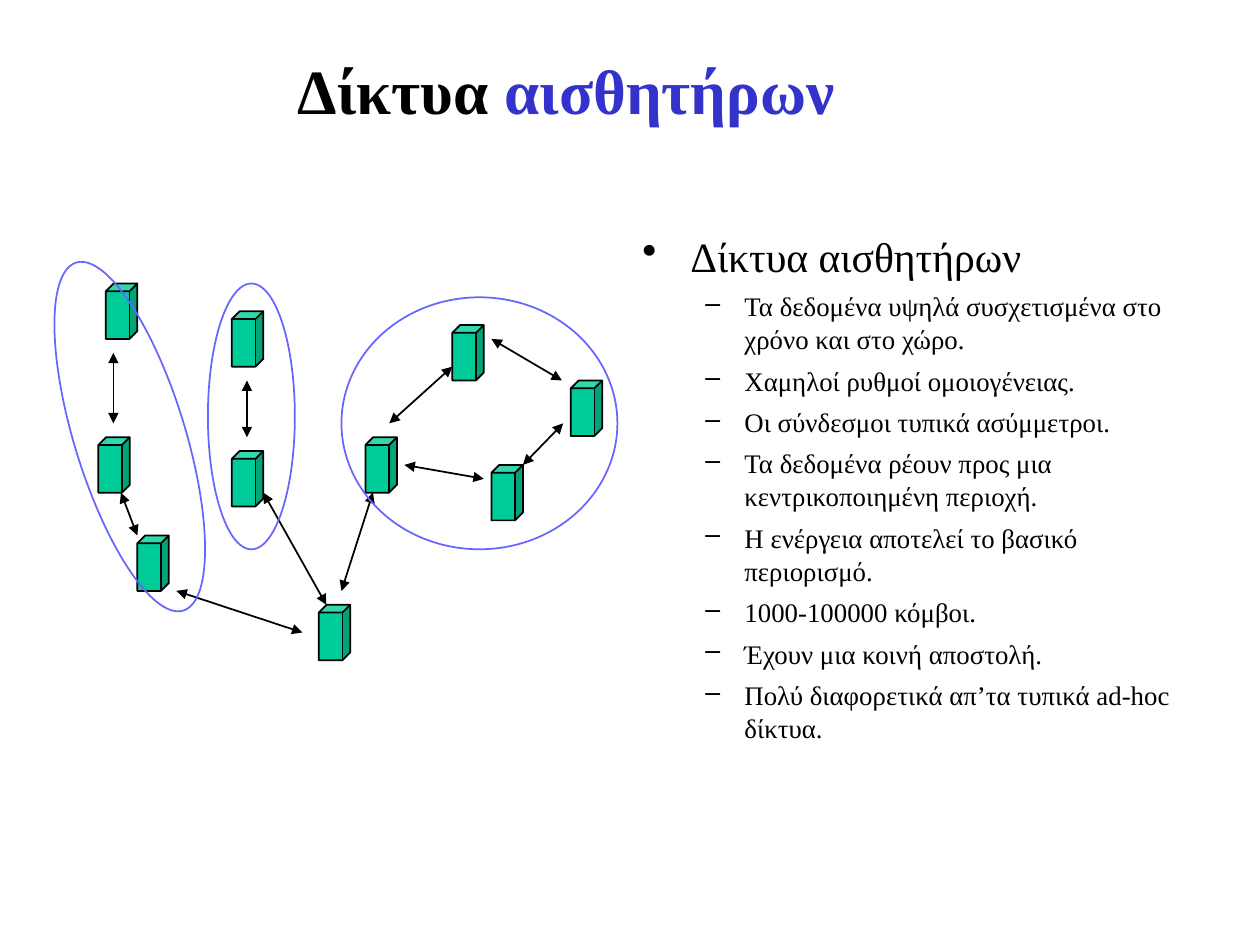
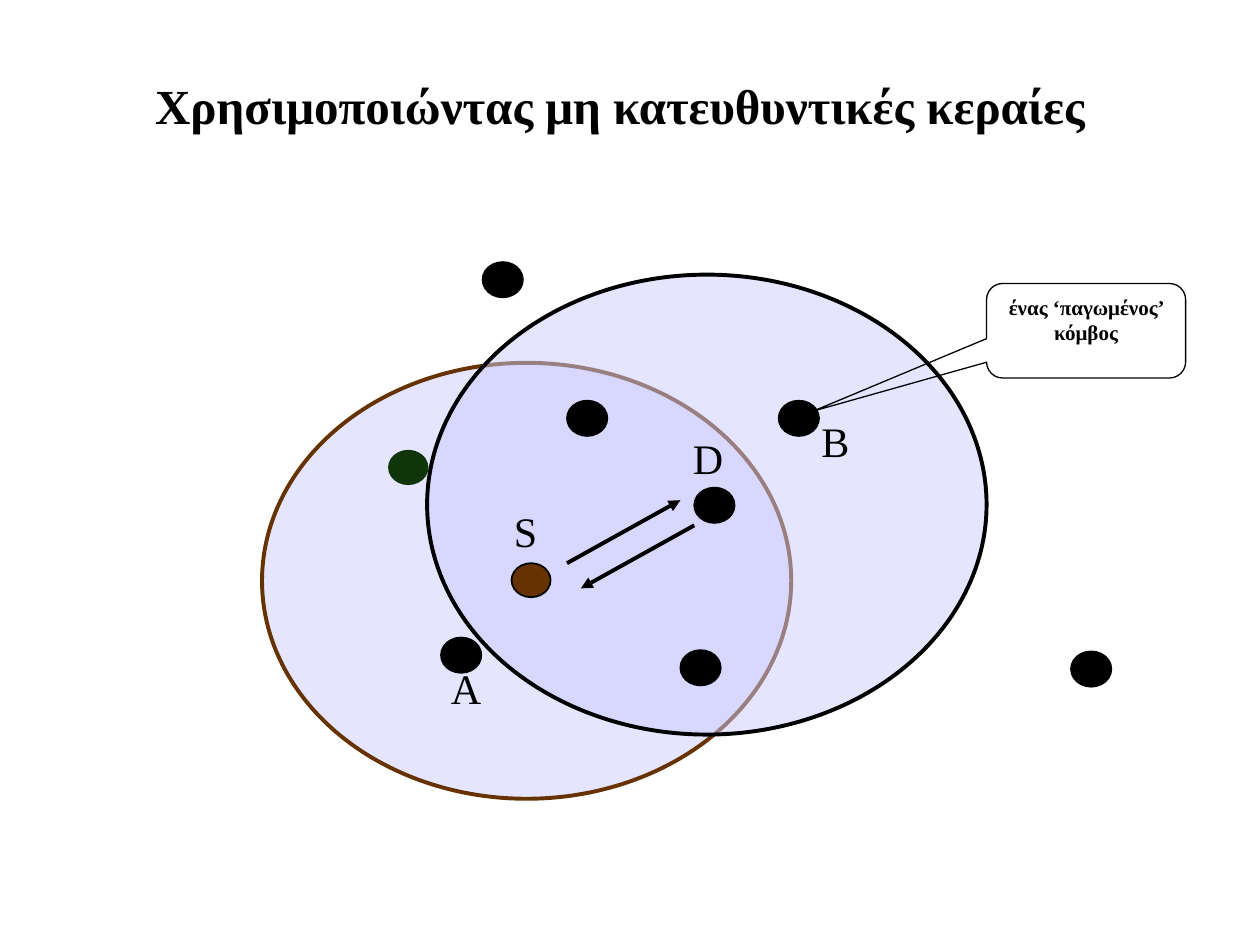
import pptx
import pptx.dml.color
import pptx.enum.shapes
import pptx.enum.text
import pptx.oxml.ns
import pptx.oxml.xmlchemy
import pptx.util
from lxml import etree

Inches = pptx.util.Inches
Pt = pptx.util.Pt
SHAPES = pptx.enum.shapes.MSO_SHAPE
ALIGN = pptx.enum.text.PP_ALIGN
ANCHOR = pptx.enum.text.MSO_ANCHOR

FONT = "Times New Roman"
BLACK = "000000"
TITLE_BLUE = "3333CC"
NODE_GREEN = "00CC99"
CLUSTER_BLUE = "6666FF"
RANGE_LILAC = "CCCCFF"
SOURCE_BROWN = "663300"
DARK_GREEN = "11350B"

SENSOR_POINTS = [
    "Τα δεδομένα υψηλά συσχετισμένα στο χρόνο και στο χώρο.",
    "Χαμηλοί ρυθμοί ομοιογένειας.",
    "Οι σύνδεσμοι τυπικά ασύμμετροι.",
    "Τα δεδομένα ρέουν προς μια κεντρικοποιημένη περιοχή.",
    "Η ενέργεια αποτελεί το βασικό περιορισμό.",
    "1000-100000 κόμβοι.",
    "Έχουν μια κοινή αποστολή.",
    "Πολύ διαφορετικά απ’τα τυπικά ad-hoc δίκτυα.",
]
SENSORS = [
    (0.78, 3.47), (0.84, 2.25), (2.53, 4.8), (3.9, 3.69), (1.84, 3.58),
    (3.59, 2.58), (4.53, 3.02), (1.84, 2.47), (2.9, 3.47), (1.09, 4.25),
]
SENSOR_LINKS = [
    ((0.9, 2.8), (0.9, 3.36)), ((0.96, 3.91), (1.09, 4.25)),
    ((1.4, 4.69), (2.4, 5.02)), ((2.71, 4.69), (2.96, 3.91)),
    ((3.09, 3.36), (3.59, 2.91)), ((3.9, 2.69), (4.46, 3.02)),
    ((3.21, 3.69), (3.84, 3.8)), ((4.15, 3.69), (4.47, 3.36)),
    ((1.96, 3.02), (1.96, 3.47)), ((2.09, 3.91), (2.59, 4.8)),
]
CLUSTERS = [
    ((0.59, 2.02, 0.88, 2.89), 342.9),
    ((1.65, 2.25, 0.69, 2.11), 0),
    ((2.71, 2.36, 2.19, 2), 0),
]
RANGES = [
    ((2.08, 2.88, 4.2, 3.46), SOURCE_BROWN),
    ((3.39, 2.18, 4.44, 3.65), BLACK),
]
BLACK_NODES = [
    (5.51, 3.87), (8.5, 5.17), (3.83, 2.08), (3.5, 5.06),
    (4.5, 3.18), (5.4, 5.16), (6.18, 3.18),
]
MESSAGES = [((4.5, 4.47), (5.4, 3.97)), ((5.51, 4.17), (4.61, 4.67))]
NODE_LABELS = [
    ("S", (3.98, 3.96, 0.38, 0.5)), ("D", (5.4, 3.38, 0.44, 0.5)),
    ("A", (3.48, 5.21, 0.44, 0.5)), ("B", (6.42, 3.25, 0.42, 0.5)),
]


def colour(value):
    """Turn a hex string into a colour."""
    return pptx.dml.color.RGBColor.from_string(value)


def set_values(target, values):
    """Set each named attribute of an object."""
    for name, value in values.items():
        setattr(target, name, value)


def add_element(parent, tag, **attributes):
    """Append a drawing element to an XML parent."""
    return etree.SubElement(parent, pptx.oxml.ns.qn(tag), attributes)


def write(para, text, size, bold=False, hue=BLACK):
    """Add one formatted span to a paragraph."""
    span = para.add_run()
    span.text = text
    set_values(span.font, {"name": FONT, "size": Pt(size), "bold": bold})
    span.font.color.rgb = colour(hue)


def add_box(page, place, **frame_values):
    """Add a text box and return its text frame."""
    frame = page.shapes.add_textbox(*map(Inches, place)).text_frame
    set_values(frame, {"word_wrap": True, **frame_values})
    return frame


def add_title(page, place, size, anchor, spans):
    """Add a bold centred title made of coloured spans."""
    para = add_box(page, place, vertical_anchor=anchor).paragraphs[0]
    para.alignment = ALIGN.CENTER
    for text, hue in spans:
        write(para, text, size, True, hue)


def set_bullet(para, mark, margin, indent):
    """Give a paragraph a bullet with a hanging indent."""
    properties = para._p.get_or_add_pPr()
    properties.set("marL", str(Inches(margin)))
    properties.set("indent", str(Inches(-indent)))
    add_element(properties, "a:buChar", char=mark)


def add_points(page, place, heading, points):
    """Add a bulleted heading with dashed points below it."""
    frame = add_box(page, place)
    first = frame.paragraphs[0]
    set_bullet(first, "•", 0.38, 0.38)
    write(first, heading, 23.8)
    for point in points:
        para = frame.add_paragraph()
        set_values(para, {"level": 1, "space_before": Pt(4.5), "line_spacing": 1.04})
        set_bullet(para, "–", 0.81, 0.31)
        write(para, point, 15.3)


def add_figure(page, kind, place, fill=None, line=BLACK, width=1, alpha=None):
    """Add a preset shape with plain fill and outline."""
    shape = page.shapes.add_shape(kind, *map(Inches, place))
    shape.shadow.inherit = False
    if fill:
        shape.fill.solid()
        shape.fill.fore_color.rgb = colour(fill)
    else:
        shape.fill.background()
    if alpha:
        tint = shape._element.spPr.find(".//" + pptx.oxml.ns.qn("a:srgbClr"))
        add_element(tint, "a:alpha", val=str(alpha * 1000))
    if line:
        shape.line.color.rgb = colour(line)
        shape.line.width = Pt(width)
    else:
        shape.line.fill.background()
    return shape


def add_arrow(page, start, end, width, ends):
    """Add a straight arrow with triangles at the named ends."""
    arrow = page.shapes.add_connector(
        pptx.enum.shapes.MSO_CONNECTOR.STRAIGHT, *map(Inches, start + end))
    arrow.line.color.rgb = colour(BLACK)
    arrow.line.width = Pt(width)
    for name in ends:
        add_element(arrow.line._get_or_add_ln(), name, type="triangle")
    add_element(arrow._element.spPr, "a:effectLst")


def add_callout(page, place, text, adjustments):
    """Add a rounded callout with bold centred text."""
    callout = add_figure(page, SHAPES.ROUNDED_RECTANGULAR_CALLOUT, place, width=0.75)
    for index, value in enumerate(adjustments):
        callout.adjustments[index] = value
    frame = callout.text_frame
    set_values(frame, {"word_wrap": True, "vertical_anchor": ANCHOR.TOP})
    frame.paragraphs[0].alignment = ALIGN.CENTER
    write(frame.paragraphs[0], text, 12, True)


def build_sensor_page(page):
    """Draw the sensor clusters and their properties."""
    add_title(page, (1.38, 0.21, 6.23, 0.85), 36, ANCHOR.BOTTOM,
              [("Δίκτυα", BLACK), (" αισθητήρων", TITLE_BLUE)])
    for left, top in SENSORS:
        add_figure(page, SHAPES.CUBE, (left, top, 0.25, 0.44), NODE_GREEN)
    add_points(page, (5, 1.78, 4.49, 4.25), "Δίκτυα αισθητήρων", SENSOR_POINTS)
    for start, end in SENSOR_LINKS:
        add_arrow(page, start, end, 1, ["a:headEnd", "a:tailEnd"])
    for place, angle in CLUSTERS:
        add_figure(page, SHAPES.OVAL, place, line=CLUSTER_BLUE).rotation = angle


def build_antenna_page(page):
    """Draw two overlapping radio ranges and the nodes in them."""
    add_title(page, (0.67, 0.21, 8.5, 1.25), 28, ANCHOR.MIDDLE,
              [("Χρησιμοποιώντας μη κατευθυντικές κεραίες", BLACK)])
    for place, hue in RANGES:
        add_figure(page, SHAPES.OVAL, place, RANGE_LILAC, hue, 2.25, 50)
    add_figure(page, SHAPES.OVAL, (3.08, 3.57, 0.32, 0.28), DARK_GREEN, None)
    add_figure(page, SHAPES.OVAL, (4.06, 4.47, 0.31, 0.27), SOURCE_BROWN)
    for left, top in BLACK_NODES:
        add_figure(page, SHAPES.OVAL, (left, top, 0.32, 0.28), BLACK)
    for start, end in MESSAGES:
        add_arrow(page, start, end, 2.25, ["a:tailEnd"])
    add_callout(page, (7.83, 2.25, 1.58, 0.75), "ένας ‘παγωμένος’ κόμβος",
                (-1.37, 0.85, 0.17))
    for text, place in NODE_LABELS:
        frame = add_box(page, place, word_wrap=False,
                        auto_size=pptx.enum.text.MSO_AUTO_SIZE.SHAPE_TO_FIT_TEXT)
        write(frame.paragraphs[0], text, 24)


def main():
    """Build both pages and save the deck."""
    deck = pptx.Presentation()
    set_values(deck, {"slide_width": Inches(10), "slide_height": Inches(7.5)})
    for build in (build_sensor_page, build_antenna_page):
        build(deck.slides.add_slide(deck.slide_layouts[6]))
    deck.save("out.pptx")


if __name__ == "__main__":
    main()
